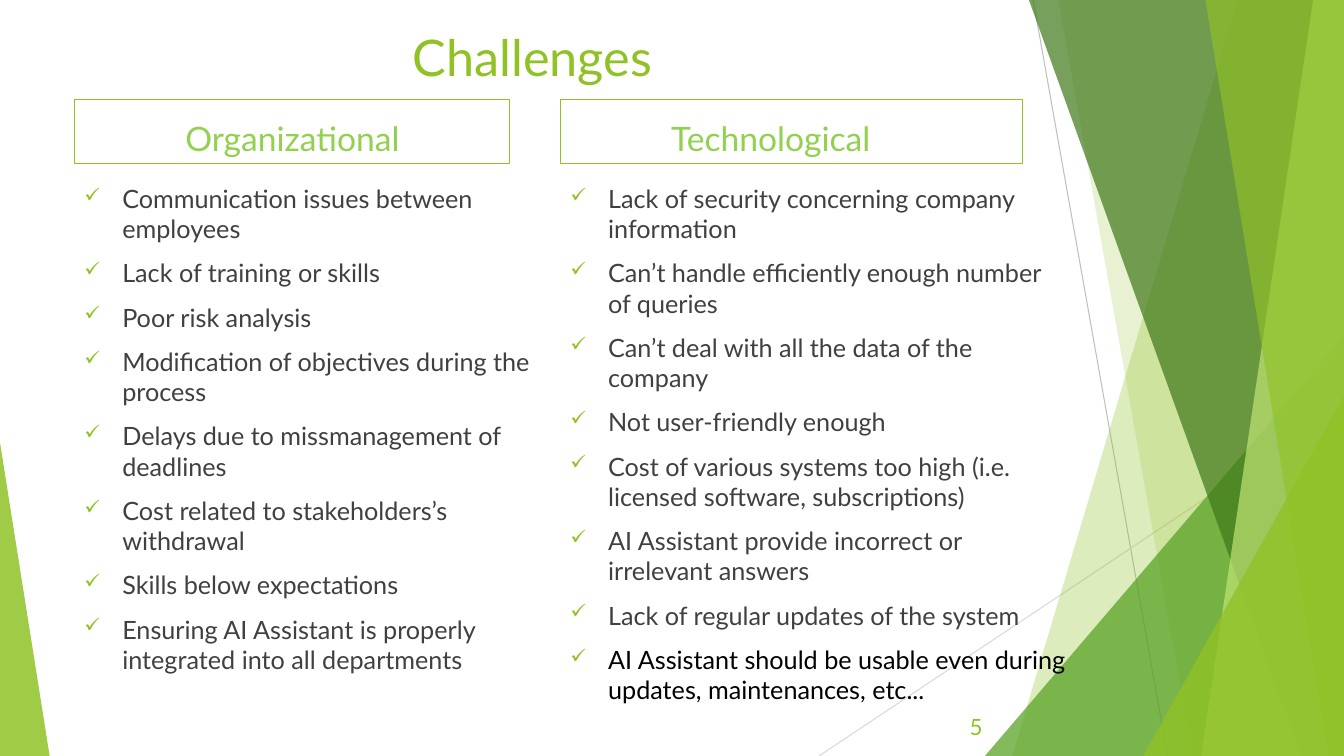
import collections

import pptx
import pptx.dml.color
import pptx.enum.shapes
import pptx.enum.text
import pptx.oxml.ns
import pptx.util
from lxml import etree

Pt = pptx.util.Pt
PRESETS = pptx.enum.shapes.MSO_SHAPE
ANCHOR = pptx.enum.text.MSO_ANCHOR
ALIGN = pptx.enum.text.PP_ALIGN
qn = pptx.oxml.ns.qn

Box = collections.namedtuple("Box", "left top width height")


class Theme:
    """Colours, font and type sizes of the slide."""
    font = "Lato"
    green, lime, pale = "90C226", "92D050", "C0E474"
    leaf, forest = "54A021", "3F7819"
    body, black = "404040", "000000"
    grey, light_grey = "BFBFBF", "D9D9D9"
    title_size, heading_size, body_size, number_size = 36, 24, 18, 16
    line_width = 0.75
    paragraph_gap = 10
    bullet_indent = 27


ORGANIZATIONAL = [
    "Communication issues between employees",
    "Lack of training or skills",
    "Poor risk analysis",
    "Modification of objectives during the process",
    "Delays due to missmanagement of deadlines",
    "Cost related to stakeholders’s withdrawal",
    "Skills below expectations",
    "Ensuring AI Assistant is properly integrated into all departments",
]
TECHNOLOGICAL = [
    "Lack of security concerning company information",
    "Can’t handle efficiently enough number of queries",
    "Can’t deal with all the data of the company",
    "Not user-friendly enough",
    "Cost of various systems too high (i.e. licensed software, subscriptions)",
    "AI Assistant provide incorrect or irrelevant answers",
    "Lack of regular updates of the system",
    "AI Assistant should be usable even during updates, maintenances, etc...",
]


def rgb(color):
    """Turn a hex string into a colour."""
    return pptx.dml.color.RGBColor.from_string(color)


def paint(shape, color, opacity):
    """Fill a shape with a see-through colour, with no line or shadow."""
    shape.shadow.inherit = False
    shape.line.fill.background()
    shape.fill.solid()
    shape.fill.fore_color.rgb = rgb(color)
    clr = shape.fill._xPr.find(qn("a:solidFill"))[0]
    etree.SubElement(clr, qn("a:alpha"), val=str(opacity * 1000))


def style(paragraph, size, color):
    """Set the font of a whole paragraph."""
    paragraph.font.name = Theme.font
    paragraph.font.size = Pt(size)
    paragraph.font.color.rgb = rgb(color)


def add_bullet(paragraph):
    """Give a paragraph a hanging green check mark."""
    props = paragraph._p.get_or_add_pPr()
    props.set("marL", str(Pt(Theme.bullet_indent)))
    props.set("indent", str(-Pt(Theme.bullet_indent)))
    color = etree.SubElement(props, qn("a:buClr"))
    etree.SubElement(color, qn("a:srgbClr"), val=Theme.green)
    etree.SubElement(props, qn("a:buSzPct"), val="80000")
    etree.SubElement(props, qn("a:buChar"), char="✓")


def add_text(slide, box, text, size, color, align=ALIGN.LEFT, anchor=ANCHOR.TOP):
    """Add a one-paragraph text box and return it."""
    area = slide.shapes.add_textbox(*map(Pt, box))
    area.text_frame.word_wrap = True
    area.text_frame.vertical_anchor = anchor
    paragraph = area.text_frame.paragraphs[0]
    paragraph.text = text
    paragraph.alignment = align
    style(paragraph, size, color)
    return area


def add_ray(slide, box, start, end, color):
    """Draw a thin line between two points of the box."""
    ends = [Pt(origin + offset) for point in (start, end)
            for origin, offset in zip(box, point)]
    ray = slide.shapes.add_connector(pptx.enum.shapes.MSO_CONNECTOR.STRAIGHT, *ends)
    ray.line.color.rgb = rgb(color)
    ray.line.width = Pt(Theme.line_width)
    etree.SubElement(ray._element.spPr, qn("a:effectLst"))


def add_facet(slide, box, top_x, bottom_x, color, opacity):
    """Fill the box from a slanted left edge to its right side."""
    right, bottom = box.left + box.width, box.top + box.height
    outline = slide.shapes.build_freeform(
        Pt(box.left + top_x), Pt(box.top), scale=1.0)
    outline.add_line_segments([
        (Pt(right), Pt(box.top)), (Pt(right), Pt(bottom)),
        (Pt(box.left + bottom_x), Pt(bottom))], close=True)
    paint(outline.convert_to_shape(), color, opacity)


def add_wedge(slide, box, x, y, width, apex, color, opacity):
    """Stand a right triangle on the bottom of the box; apex 0 is left, 1 right."""
    wedge = slide.shapes.add_shape(
        PRESETS.ISOSCELES_TRIANGLE, Pt(box.left + x), Pt(box.top + y),
        Pt(width), Pt(box.height - y))
    wedge.adjustments[0] = apex
    paint(wedge, color, opacity)


def add_backdrop(slide, box):
    """Layer the green facets and thin rays from back to front."""
    add_ray(slide, box, (738, 0), (834, 540), Theme.grey)
    add_ray(slide, box, (960, 290), (585, 540), Theme.light_grey)
    add_facet(slide, box, 884, 723, Theme.green, 30)
    add_facet(slide, box, 756, 852, Theme.green, 20)
    add_wedge(slide, box, 703.5, 240, 256.5, 1, Theme.leaf, 72)
    add_facet(slide, box, 735, 929.5, Theme.forest, 70)
    add_facet(slide, box, 938, 858, Theme.pale, 70)
    add_facet(slide, box, 861, 949, Theme.green, 65)
    add_wedge(slide, box, 816.5, 283, 143.5, 1, Theme.green, 80)
    add_wedge(slide, box, 0, 316, 35.5, 0, Theme.green, 85)


def add_column(slide, box, heading_width, heading, challenges, last_color):
    """Add an outlined heading with its check list below."""
    heading_box = Box(box.left, box.top, heading_width, 45.5)
    frame = add_text(slide, heading_box, heading, Theme.heading_size, Theme.lime,
                     anchor=ANCHOR.BOTTOM)
    frame.line.color.rgb = rgb(Theme.green)
    frame.line.width = Pt(Theme.line_width)
    title = frame.text_frame.paragraphs[0]
    title.space_before = Pt(Theme.paragraph_gap)
    title._p.get_or_add_pPr().set("marL", str(Pt(72)))

    list_top = 56
    checklist = slide.shapes.add_textbox(
        Pt(box.left), Pt(box.top + list_top), Pt(box.width), Pt(box.height - list_top))
    checklist.text_frame.word_wrap = True
    checklist.text_frame.text = "\n".join(challenges)
    for challenge in checklist.text_frame.paragraphs:
        add_bullet(challenge)
        challenge.space_before = Pt(Theme.paragraph_gap)
        style(challenge, Theme.body_size, Theme.body)
    challenge.font.color.rgb = rgb(last_color)


def add_challenges_slide(deck, box):
    """Build the slide that compares two groups of challenges."""
    slide = deck.slides.add_slide(deck.slide_layouts[6])
    add_backdrop(slide, box)
    add_text(slide, Box(box.left + 29.5, box.top + 15, 701.5, 56), "Challenges",
             Theme.title_size, Theme.green, ALIGN.CENTER)
    add_column(slide, Box(box.left + 53.3, box.top + 71.3, 347.8, 454.3), 311,
               "Organizational", ORGANIZATIONAL, Theme.body)
    add_column(slide, Box(box.left + 400.3, box.top + 71.3, 369.4, 454.3), 330,
               "Technological", TECHNOLOGICAL, Theme.black)
    add_text(slide, Box(box.left + 627, box.top + 502, 82, 34), "5",
             Theme.number_size, Theme.green, ALIGN.RIGHT, ANCHOR.MIDDLE)


deck = pptx.Presentation()
page = Box(0, 0, 960, 540)
deck.slide_width, deck.slide_height = Pt(page.width), Pt(page.height)
add_challenges_slide(deck, page)
deck.save("out.pptx")
